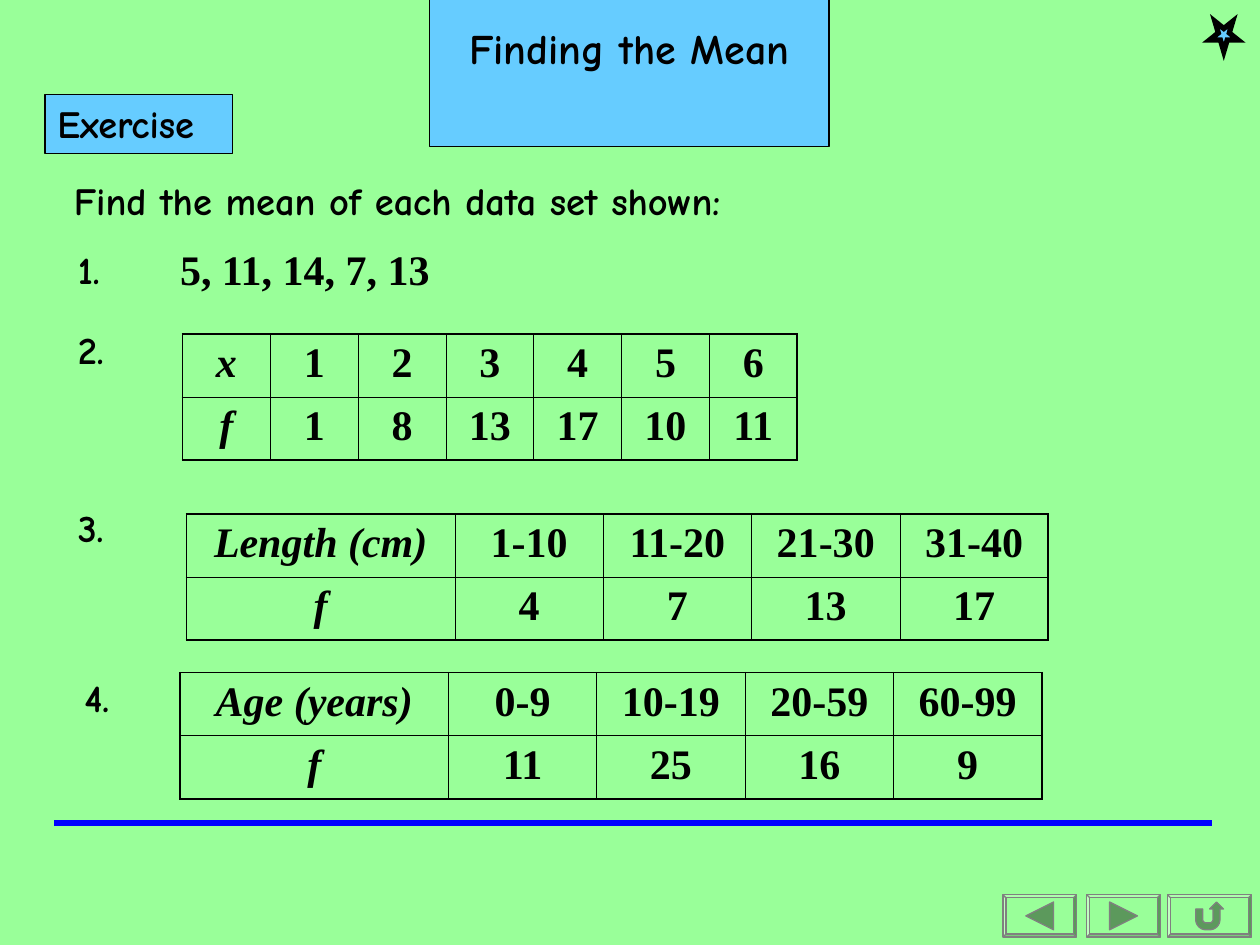
from math import cos, pi, sin

from lxml.etree import SubElement
from pptx import Presentation
from pptx.dml.color import RGBColor
from pptx.enum.shapes import MSO_CONNECTOR as Connector, MSO_SHAPE as Preset
from pptx.enum.text import MSO_ANCHOR as Anchor, MSO_AUTO_SIZE as AutoSize, PP_ALIGN as Align
from pptx.oxml.ns import qn
from pptx.util import Cm, Pt

COLORS = {"page": "99FF99", "panel": "66CCFF", "ink": "000000",
          "rule": "0000FF", "button_edge": "808080", "icon": "5C995C"}
HAND = {"name": "Comic Neue", "size": Pt(22), "bold": True}
HEADING = {**HAND, "size": Pt(24)}
DATA = {"name": "Times New Roman", "size": Pt(24), "bold": True}
VARIABLE = {**DATA, "italic": True}

TITLE = ("Finding the Mean", (8.66, 0.33, 8.05, 1.28))
SECTION = ("Exercise", (0.91, 1.9, 3.78, 1.19))
LABELS = [
    ("Find the mean of each data set shown:", (1.24, 3.45, 19.02, 1.19), HAND),
    ("1.", (1.32, 4.83, 1.55, 1.19), HAND),
    ("5, 11, 14, 7, 13", (3.38, 4.78, 5.97, 1.27), DATA),
    ("2.", (1.32, 6.45, 1.55, 1.19), HAND),
    ("3.", (1.32, 10.03, 1.55, 1.19), HAND),
    ("4.", (1.45, 13.46, 1.55, 1.19), HAND),
]
ROW_HEIGHT = 1.27
FREQUENCIES = [
    {"at": (3.68, 6.73), "widths": (1.77, 1.77),
     "rows": [["x", "1", "2", "3", "4", "5", "6"],
              ["f", "1", "8", "13", "17", "10", "11"]]},
    {"at": (3.76, 10.36), "widths": (5.41, 2.99),
     "rows": [["Length (cm)", "1-10", "11-20", "21-30", "31-40"],
              ["f", "4", "7", "13", "17"]]},
    {"at": (3.63, 13.56), "widths": (5.41, 2.99),
     "rows": [["Age (years)", "0-9", "10-19", "20-59", "60-99"],
              ["f", "11", "25", "16", "9"]]},
]
OUTER, INNER = Pt(1.08), Pt(0.45)
STAR = (24.38, 0.43, 0.58, 0.61)
RULE = (1.09, 16.59, 24.43, 16.59)


def arc(x, y, radius, start, end, steps=8):
    """Return points on a circle between two angles."""
    angles = [start + (end - start) * i / steps for i in range(steps + 1)]
    return [(x + radius * cos(a), y + radius * sin(a)) for a in angles]


BACK = [(0, 0.5), (1, 0), (1, 1)]
FORWARD = [(0, 0), (1, 0.5), (0, 1)]
RETURN = [(0, 0.25), (0.25, 0.25),
          *arc(0.375, 0.625, 0.125, pi, pi / 2), *arc(0.5, 0.625, 0.125, pi / 2, 0),
          (0.625, 0.25), (0.5, 0.25), (0.75, 0), (1, 0.25), (0.875, 0.25),
          *arc(0.5, 0.625, 0.375, 0, pi / 2), *arc(0.375, 0.625, 0.375, pi / 2, pi)]
BUTTON_TOP, BUTTON_HEIGHT, ICON_SIZE = 18.04, 0.85, 0.56
BUTTONS = [(20.22, 1.48, BACK), (21.91, 1.48, FORWARD), (23.54, 1.69, RETURN)]


def rgb(key):
    """Look up a named colour."""
    return RGBColor.from_string(COLORS[key])


def lengths(values):
    """Convert centimetres to slide lengths."""
    return [Cm(value) for value in values]


def paint(shape, fill, edge, width=0.75):
    """Fill and outline a shape without a shadow."""
    shape.shadow.inherit = False
    shape.fill.solid()
    shape.fill.fore_color.rgb = rgb(fill)
    shape.line.color.rgb = rgb(edge)
    shape.line.width = Pt(width)


def write(frame, text, style, align=Align.LEFT):
    """Put one formatted paragraph in a text frame."""
    paragraph = frame.paragraphs[0]
    paragraph.text = text
    paragraph.alignment = align
    for attribute, value in style.items():
        setattr(paragraph.font, attribute, value)
    paragraph.font.color.rgb = rgb("ink")


def write_box(shape, text, style, align=Align.LEFT, anchor=Anchor.TOP):
    """Fill a wrapped box that grows with its text."""
    settings = {"word_wrap": True, "auto_size": AutoSize.SHAPE_TO_FIT_TEXT,
                "vertical_anchor": anchor}
    for attribute, value in settings.items():
        setattr(shape.text_frame, attribute, value)
    write(shape.text_frame, text, style, align)


def add_border(cell, side, width):
    """Draw one side of a cell."""
    line = SubElement(cell._tc.get_or_add_tcPr(), qn(f"a:ln{side}"), w=str(width))
    fill = SubElement(line, qn("a:solidFill"))
    SubElement(fill, qn("a:srgbClr"), val=COLORS["ink"])


def add_frequencies(shapes, at, widths, rows):
    """Add a frequency table with a heavier outer frame."""
    first, other = widths
    last_row, last_column = len(rows) - 1, len(rows[0]) - 1
    size = (first + other * last_column, ROW_HEIGHT * len(rows))
    table = shapes.add_table(len(rows), len(rows[0]), *lengths(at + size)).table
    table.first_row = table.horz_banding = False
    for c, column in enumerate(table.columns):
        column.width = Cm(other if c else first)
    for r, row in enumerate(rows):
        for c, text in enumerate(row):
            cell = table.cell(r, c)
            write(cell.text_frame, text, DATA if c else VARIABLE, Align.CENTER)
            outer_sides = {"L": c == 0, "R": c == last_column,
                           "T": r == 0, "B": r == last_row}
            for side, is_outer in outer_sides.items():
                add_border(cell, side, OUTER if is_outer else INNER)
            cell.fill.background()


def add_button(shapes, left, width, icon):
    """Add a bevelled button with a centred icon."""
    button = shapes.add_shape(
        Preset.BEVEL, *lengths((left, BUTTON_TOP, width, BUTTON_HEIGHT)))
    button.adjustments[0] = 0.07
    paint(button, "page", "button_edge")
    icon_left = left + (width - ICON_SIZE) / 2
    icon_top = BUTTON_TOP + (BUTTON_HEIGHT - ICON_SIZE) / 2
    start, *rest = [(Cm(icon_left + x * ICON_SIZE), Cm(icon_top + y * ICON_SIZE))
                    for x, y in icon]
    builder = shapes.build_freeform(*start)
    builder.add_line_segments(rest, close=True)
    paint(builder.convert_to_shape(), "icon", "button_edge")


def main():
    """Build the exercise slide."""
    deck = Presentation()
    deck.slide_width, deck.slide_height = Cm(25.4), Cm(19.05)
    slide = deck.slides.add_slide(deck.slide_layouts[5])
    slide.background.fill.solid()
    slide.background.fill.fore_color.rgb = rgb("page")
    shapes = slide.shapes

    text, place = TITLE
    title = shapes.title
    title.left, title.top, title.width, title.height = lengths(place)
    write_box(title, text, HEADING, Align.CENTER, Anchor.MIDDLE)

    text, place = SECTION
    section = shapes.add_shape(Preset.RECTANGLE, *lengths(place))
    write_box(section, text, HAND)
    for panel in (title, section):
        paint(panel, "panel", "ink")

    for button in BUTTONS:
        add_button(shapes, *button)

    star = shapes.add_shape(Preset.STAR_5_POINT, *lengths(STAR))
    star.rotation = 180
    paint(star, "panel", "ink", 3)
    SubElement(star.line._get_or_add_ln(), qn("a:miter"), lim="800000")

    for text, place, style in LABELS:
        write_box(shapes.add_textbox(*lengths(place)), text, style)
    for frequencies in FREQUENCIES:
        add_frequencies(shapes, **frequencies)

    rule = shapes.add_connector(Connector.STRAIGHT, *lengths(RULE))
    rule.line.color.rgb = rgb("rule")
    rule.line.width = Pt(3)
    SubElement(rule._element.spPr, qn("a:effectLst"))
    deck.save("out.pptx")


if __name__ == "__main__":
    main()
